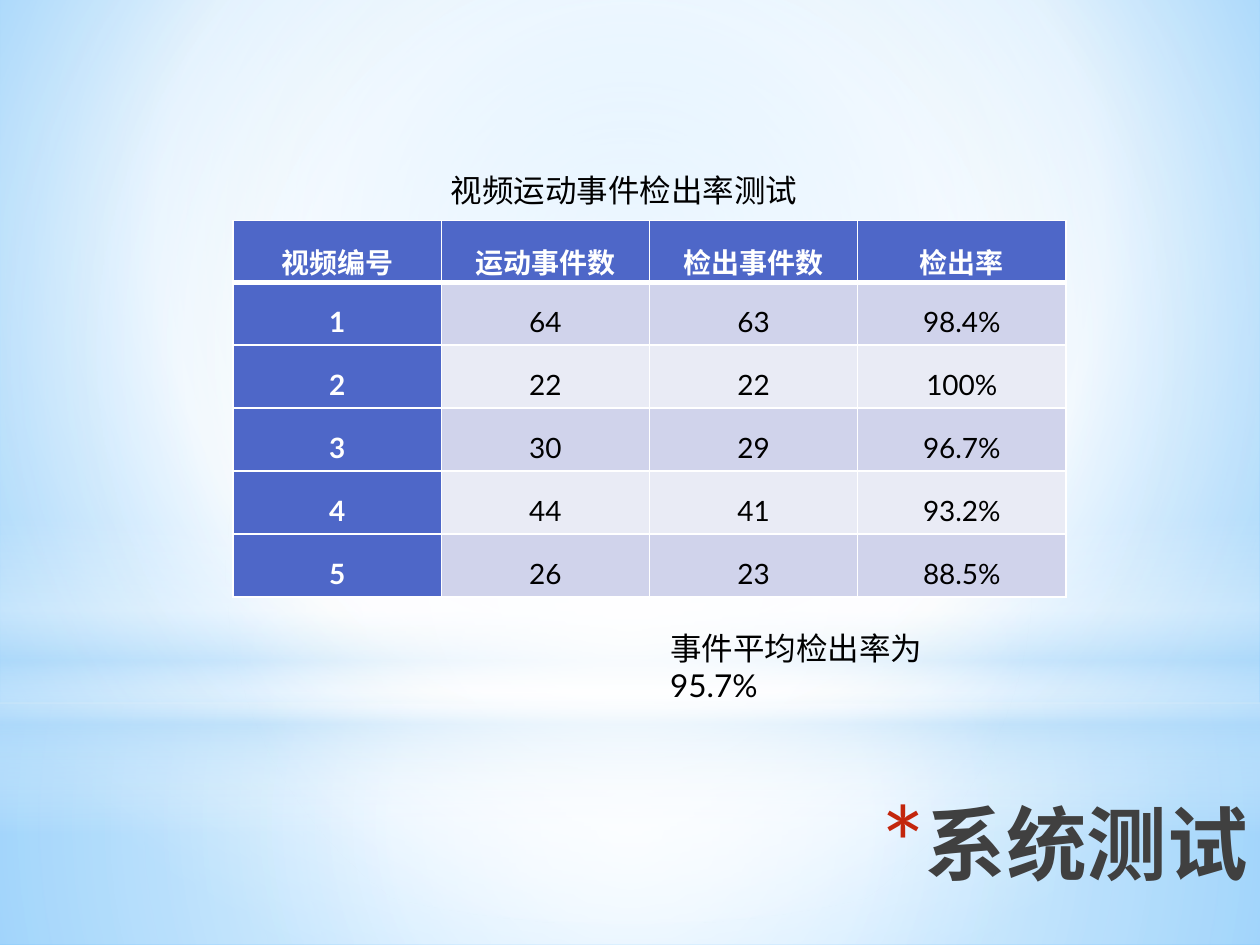
from pptx import Presentation
from pptx import util as u
from pptx.dml.color import RGBColor
from pptx.enum import shapes, text
from pptx.oxml import parse_xml
from pptx.oxml.ns import nsdecls

W, H = 10, 7.5
COLORS = {
    "white": "FFFFFF", "ink": "000000", "title": "404040", "bullet": "C3260C",
    "header": "4E67C8", "odd": "D0D3EB", "even": "E9EBF5",
    "sky": "B4DCFA", "bg_start": "9ED5FF", "bg_end": "5BB9FF",
}
FONT = "Lato"
TITLE = "系统测试"
CAPTION = "视频运动事件检出率测试"
SUMMARY = "事件平均检出率为95.7%"
ROWS = [
    ("视频编号", "运动事件数", "检出事件数", "检出率"),
    ("1", "64", "63", "98.4%"),
    ("2", "22", "22", "100%"),
    ("3", "30", "29", "96.7%"),
    ("4", "44", "41", "93.2%"),
    ("5", "26", "23", "88.5%"),
]
CIRCLE = '<a:path path="circle"><a:fillToRect l="{}" t="{}" r="{}" b="{}"/></a:path>'
CENTER = CIRCLE.format(*[50000] * 4)
DOWN = '<a:lin ang="5400000" scaled="0"/>'
BACKGROUND = ([(0, "bg_start", 100), (60, "white", 100), (100, "bg_end", 100)],
              CIRCLE.format(20000, 10000, 20000, 60000))
RECT, OVAL = shapes.MSO_SHAPE.RECTANGLE, shapes.MSO_SHAPE.OVAL
GLOWS = [
    (RECT, 5.58, 1.92, [(0, "white", 91), (37, "white", 76), (100, "sky", 79)], CENTER),
    (RECT, 0, 5.58, [(0, "white", 89), (48, "white", 62), (100, "sky", 79)], CENTER),
    (RECT, 4.12, 2.5, [(0, "white", 0), (29, "white", 30), (45, "sky", 40),
                       (55, "white", 26), (65, "sky", 60), (100, "white", 0)], DOWN),
    (OVAL, 1.75, 5.58, [(0, "white", 100), (56, "white", 0)], CENTER),
]


def rgb(name):
    return RGBColor.from_string(COLORS[name])


def set_gradient(fill, parent, stops, direction):
    fill.gradient()
    gs = "".join(
        f'<a:gs pos="{pos * 1000}"><a:srgbClr val="{COLORS[color]}">'
        f'<a:alpha val="{alpha * 1000}"/></a:srgbClr></a:gs>'
        for pos, color, alpha in stops)
    old = parent.xpath(".//a:gradFill")[0]
    old.getparent().replace(old, parse_xml(
        f'<a:gradFill {nsdecls("a")} rotWithShape="1"><a:gsLst>{gs}</a:gsLst>'
        f'{direction}</a:gradFill>'))


def add_run(p, words, size, color, bold=False, font=FONT):
    r = p.add_run()
    r.text = words
    r.font.size, r.font.bold, r.font.name = u.Pt(size), bold, font
    r.font.color.rgb = rgb(color)


def add_note(s, box, words, font=FONT, indent=0):
    tf = s.shapes.add_textbox(*map(u.Inches, box)).text_frame
    tf.word_wrap = True
    p = tf.paragraphs[0]
    p._p.get_or_add_pPr().set("indent", str(u.Inches(indent)))
    add_run(p, words, 18, "ink", font=font)


def add_glows(s):
    for kind, top, height, stops, direction in GLOWS:
        sp = s.shapes.add_shape(kind, 0, u.Inches(top), u.Inches(W), u.Inches(height))
        sp.shadow.inherit = False
        sp.line.fill.background()
        set_gradient(sp.fill, sp._element.spPr, stops, direction)


def format_title(s):
    sp = s.shapes.title
    s.shapes.element.append(sp._element)
    sp.left, sp.top, sp.width, sp.height = map(u.Inches, (2.88, 6.25, W - 2.88, H - 6.25))
    tf = sp.text_frame
    tf.vertical_anchor = text.MSO_ANCHOR.TOP
    tf.auto_size = text.MSO_AUTO_SIZE.NONE
    p = tf.paragraphs[0]
    p.alignment = text.PP_ALIGN.RIGHT
    pPr = p._p.get_or_add_pPr()
    pPr.set("marL", str(u.Inches(0.35)))
    pPr.set("indent", str(u.Inches(-0.35)))
    for tag in (f'buClr {nsdecls("a")}><a:srgbClr val="{COLORS["bullet"]}"/></a:buClr',
                f'buSzPct {nsdecls("a")} val="128000"/',
                f'buFont {nsdecls("a")} typeface="{FONT}"/',
                f'buChar {nsdecls("a")} char="*"/'):
        pPr.append(parse_xml(f"<a:{tag}>"))
    add_run(p, TITLE, 46, "title", True)


def format_cell(cell, words, row, col):
    heading = row == 0 or col == 0
    tcPr = cell._tc.get_or_add_tcPr()
    for side in "LRTB":
        thick = (row, side) in ((0, "B"), (1, "T"))
        tcPr.append(parse_xml(
            f'<a:ln{side} {nsdecls("a")} w="{u.Pt(3 if thick else 1)}"><a:solidFill>'
            f'<a:srgbClr val="{COLORS["white"]}"/></a:solidFill></a:ln{side}>'))
    cell.fill.solid()
    cell.fill.fore_color.rgb = rgb("header" if heading else "odd" if row % 2 else "even")
    cell.vertical_anchor = text.MSO_ANCHOR.MIDDLE
    cell.margin_left = cell.margin_right = u.Inches(0.07)
    cell.margin_top = cell.margin_bottom = 0
    p = cell.text_frame.paragraphs[0]
    p.alignment, p.line_spacing = text.PP_ALIGN.CENTER, 1.5
    add_run(p, words, 16, "white" if heading else "ink", heading)


def add_results(s):
    box = map(u.Inches, (1.85, 1.75, 6.61, 2.99))
    table = s.shapes.add_table(len(ROWS), len(ROWS[0]), *box).table
    table.first_col = True
    for i, row in enumerate(ROWS):
        table.rows[i].height = u.Inches(0.5 if i else 0.49)
        for j, words in enumerate(row):
            format_cell(table.cell(i, j), words, i, j)


def main():
    prs = Presentation()
    prs.slide_width, prs.slide_height = u.Inches(W), u.Inches(H)
    s = prs.slides.add_slide(prs.slide_layouts[5])
    set_gradient(s.background.fill, s.element, *BACKGROUND)
    add_glows(s)
    format_title(s)
    add_results(s)
    add_note(s, (3.19, 1.31, 3.46, 0.4), CAPTION, "Times New Roman", 0.29)
    add_note(s, (5.22, 4.94, 2.86, 0.4), SUMMARY)
    prs.save("out.pptx")


if __name__ == "__main__":
    main()
